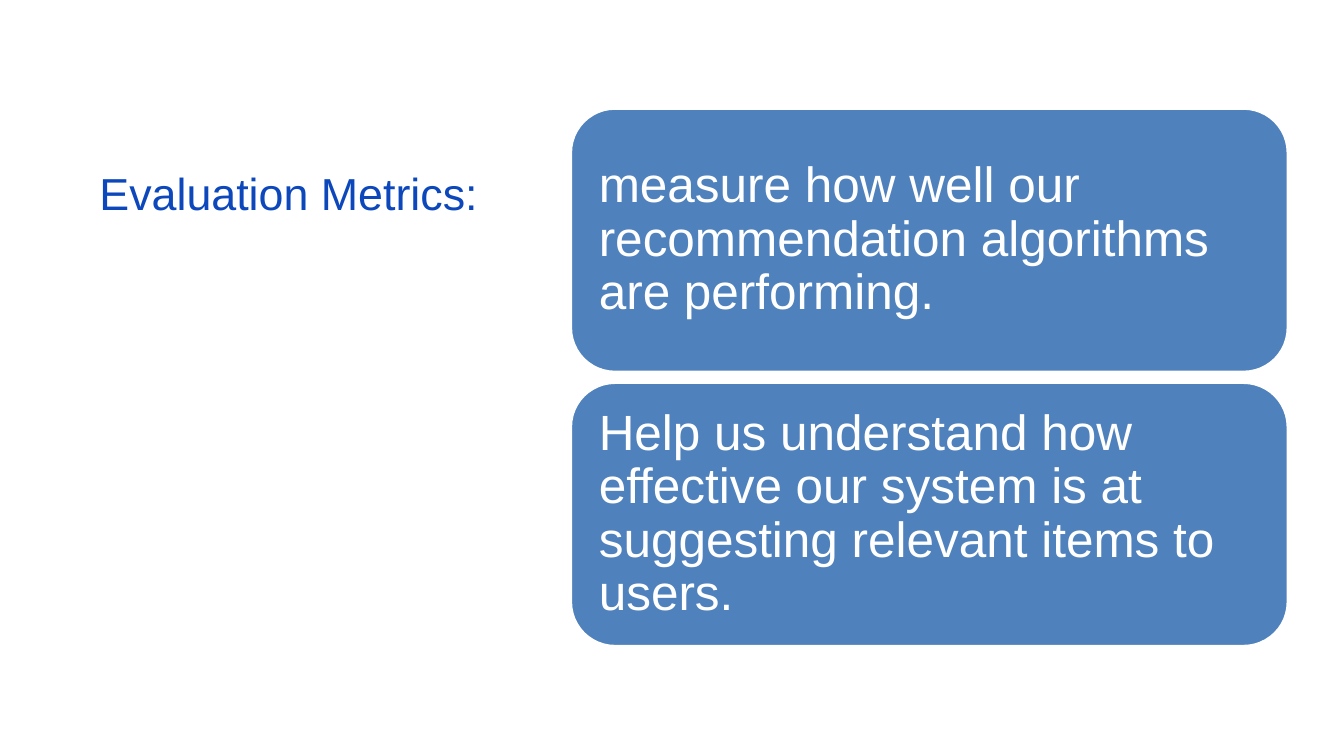
from pptx import Presentation
from pptx.dml.color import RGBColor
from pptx.enum.shapes import MSO_SHAPE
from pptx.enum.text import MSO_ANCHOR, MSO_AUTO_SIZE, PP_ALIGN
from pptx.util import Inches, Pt

TITLE_BLUE = RGBColor(0x0C, 0x48, 0xBB)
CARD_BLUE = RGBColor(0x4F, 0x81, 0xBD)
WHITE = RGBColor(0xFF, 0xFF, 0xFF)

TITLE = "Evaluation Metrics:"
PURPOSES = [
    "measure how well our recommendation algorithms are performing.",
    "Help us understand how effective our system is at suggesting relevant items to users.",
]


def write_text(shape, text, *, size, color, anchor, inset, line_spacing=1.0):
    frame = shape.text_frame
    frame.word_wrap = True
    frame.auto_size = MSO_AUTO_SIZE.NONE
    frame.vertical_anchor = anchor
    frame.margin_left = frame.margin_right = Inches(inset)
    frame.margin_top = frame.margin_bottom = Inches(inset)
    paragraph = frame.paragraphs[0]
    paragraph.alignment = PP_ALIGN.LEFT
    paragraph.line_spacing = line_spacing
    run = paragraph.add_run()
    run.text = text
    run.font.name = "Arial"
    run.font.size = Pt(size)
    run.font.color.rgb = color


def place_title(slide, left, top, width, height):
    title = slide.shapes.title
    title.left, title.top = Inches(left), Inches(top)
    title.width, title.height = Inches(width), Inches(height)
    write_text(title, TITLE, size=48, color=TITLE_BLUE,
               anchor=MSO_ANCHOR.BOTTOM, inset=0.1)


def place_purpose_cards(slide, left, top, width, height, gap=0.17):
    card_height = (height - gap * (len(PURPOSES) - 1)) / len(PURPOSES)
    for index, purpose in enumerate(PURPOSES):
        card_top = top + index * (card_height + gap)
        card = slide.shapes.add_shape(
            MSO_SHAPE.ROUNDED_RECTANGLE, Inches(left), Inches(card_top),
            Inches(width), Inches(card_height))
        card.shadow.inherit = False
        card.fill.solid()
        card.fill.fore_color.rgb = CARD_BLUE
        card.line.color.rgb = WHITE
        card.line.width = Pt(2)
        write_text(card, purpose, size=53, color=WHITE,
                   anchor=MSO_ANCHOR.MIDDLE, inset=0.22, line_spacing=0.9)


def main():
    presentation = Presentation()
    presentation.slide_width = Inches(20)
    presentation.slide_height = Inches(11.25)
    title_only = presentation.slide_layouts[5]
    slide = presentation.slides.add_slide(title_only)
    slide.background.fill.solid()
    slide.background.fill.fore_color.rgb = WHITE
    place_title(slide, 1.38, 0.75, 6.45, 2.62)
    place_purpose_cards(slide, 8.5, 1.62, 10.66, 7.99)
    presentation.save("out.pptx")


if __name__ == "__main__":
    main()
